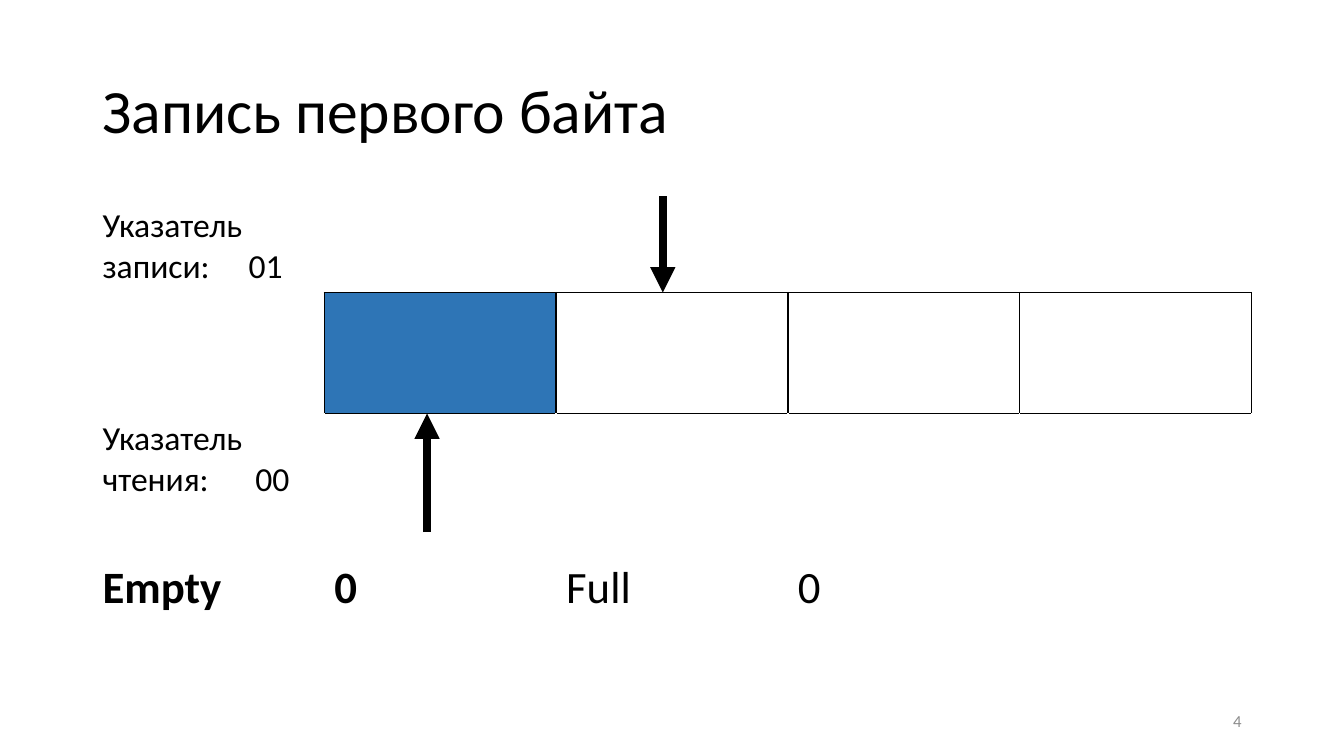
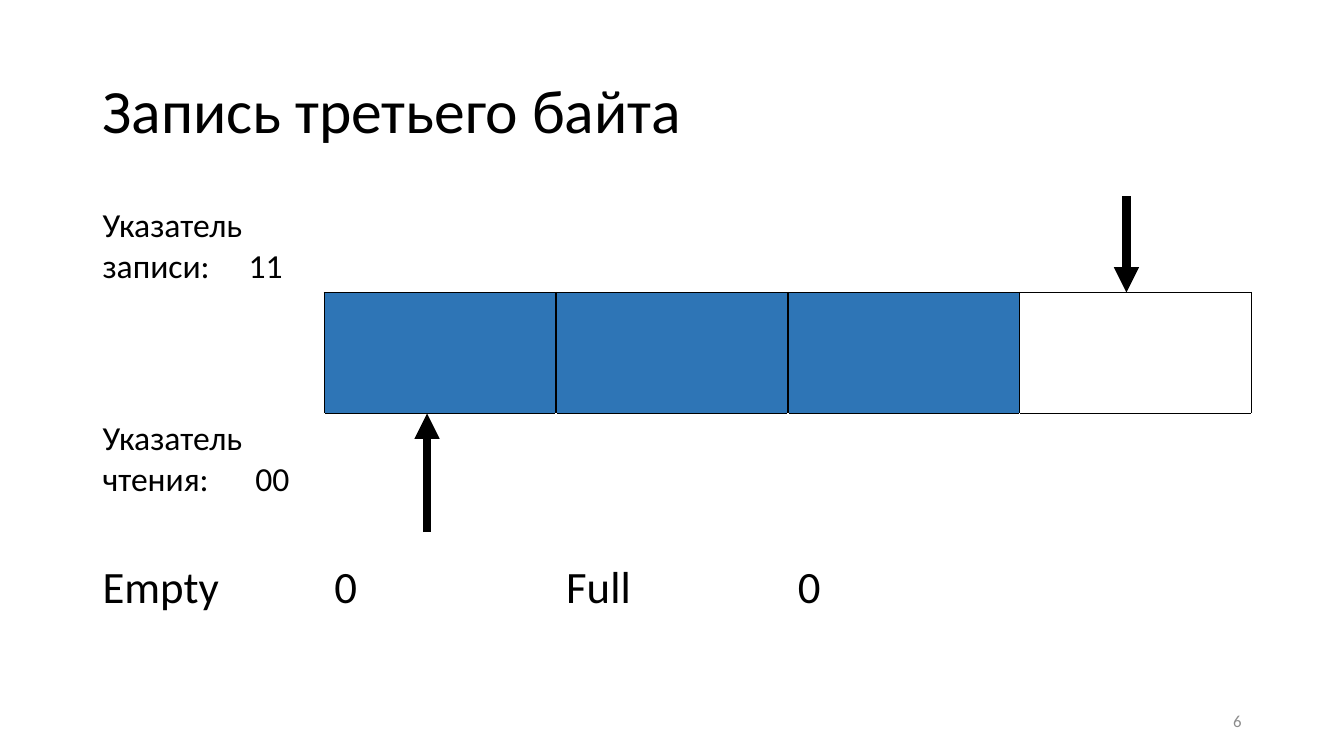
from lxml import etree
from pptx import Presentation
from pptx.dml.color import RGBColor
from pptx.enum.shapes import MSO_CONNECTOR
from pptx.enum.text import MSO_ANCHOR, MSO_AUTO_SIZE, PP_ALIGN
from pptx.oxml.ns import qn
from pptx.util import Cm, Pt

SLIDES = [
    {"title": "Запись первого байта", "number": "4", "filled": 1,
     "write": "01", "read": "00", "bold_empty": True},
    {"title": "Запись третьего байта", "number": "6", "filled": 3,
     "write": "11", "read": "00", "bold_empty": False},
]
FLAGS = ["Empty", "0", "Full", "0"]

FONT = "Calibri"
BLACK = RGBColor(0x00, 0x00, 0x00)
WHITE = RGBColor(0xFF, 0xFF, 0xFF)
BLUE = RGBColor(0x2E, 0x75, 0xB6)
GRAY = RGBColor(0x8C, 0x8C, 0x8C)

# All lengths below are centimetres.
LEFT, WIDTH = 2.33, 29.21
TABLE_TOP = 4.32
COLS = 5
COL_W = WIDTH / COLS
ROWS = [3.05, 3.05, 3.53, 3.05]
WRITE_ROW, BUFFER_ROW, READ_ROW, FLAG_ROW = range(4)
BUFFER_TOP = TABLE_TOP + ROWS[WRITE_ROW]
BUFFER_BOTTOM = BUFFER_TOP + ROWS[BUFFER_ROW]


def style(p, size, color=BLACK, bold=False):
    p.font.name, p.font.size, p.font.bold = FONT, Pt(size), bold
    p.font.color.rgb = color


def set_title(s, text):
    title = s.shapes.title
    title.left, title.top = Cm(LEFT), Cm(1.01)
    title.width, title.height = Cm(WIDTH), Cm(3.68)
    tf = title.text_frame
    tf.text = text
    tf.auto_size = MSO_AUTO_SIZE.NONE
    tf.vertical_anchor = MSO_ANCHOR.MIDDLE
    p = tf.paragraphs[0]
    p.alignment, p.line_spacing = PP_ALIGN.LEFT, 0.9
    style(p, 44)


def add_number(s, text):
    tf = s.shapes.add_textbox(Cm(23.92), Cm(17.66), Cm(7.62), Cm(1.01)).text_frame
    tf.word_wrap = True
    tf.vertical_anchor = MSO_ANCHOR.MIDDLE
    tf.text = text
    p = tf.paragraphs[0]
    p.alignment = PP_ALIGN.RIGHT
    style(p, 12, GRAY)


def in_buffer(row, col):
    return row == BUFFER_ROW and 1 <= col < COLS


def set_borders(cell, row, col):
    """Black on every edge that touches the buffer, white elsewhere."""
    neighbours = {"lnL": (row, col - 1), "lnR": (row, col + 1),
                  "lnT": (row - 1, col), "lnB": (row + 1, col)}
    tcPr = cell._tc.get_or_add_tcPr()
    for tag, other in neighbours.items():
        color = BLACK if in_buffer(row, col) or in_buffer(*other) else WHITE
        ln = etree.SubElement(tcPr, qn("a:" + tag), w=str(Pt(1)))
        fill = etree.SubElement(ln, qn("a:solidFill"))
        etree.SubElement(fill, qn("a:srgbClr"), val=str(color))


def set_pointer(cell, label, value, tab, anchor):
    """Write a wrapped label with its value at a tab stop on the last line."""
    cell.vertical_anchor = anchor
    p = cell.text_frame.paragraphs[0]
    p.text = f"{label}\t{value}"
    tabs = etree.SubElement(p._p.get_or_add_pPr(), qn("a:tabLst"))
    etree.SubElement(tabs, qn("a:tab"), pos=str(Cm(tab)), algn="l")
    style(p, 24)


def add_buffer_table(s, data):
    frame = s.shapes.add_table(len(ROWS), COLS, Cm(LEFT), Cm(TABLE_TOP),
                               Cm(WIDTH), Cm(sum(ROWS)))
    table = frame.table
    table.first_row = table.horz_banding = False
    for column in table.columns:
        column.width = Cm(COL_W)
    for r, height in enumerate(ROWS):
        table.rows[r].height = Cm(height)
        for c in range(COLS):
            cell = table.cell(r, c)
            set_borders(cell, r, c)
            if in_buffer(r, c) and c <= data["filled"]:
                cell.fill.solid()
                cell.fill.fore_color.rgb = BLUE
            else:
                cell.fill.background()

    set_pointer(table.cell(WRITE_ROW, 0), "Указатель записи:", data["write"],
                3.68, MSO_ANCHOR.BOTTOM)
    set_pointer(table.cell(READ_ROW, 0), "Указатель чтения:", data["read"],
                3.85, MSO_ANCHOR.TOP)
    for c, text in enumerate(FLAGS):
        cell = table.cell(FLAG_ROW, c)
        cell.margin_top = Cm(0.17)
        cell.text = text
        style(cell.text_frame.paragraphs[0], 32,
              bold=data["bold_empty"] and c < 2)


def add_arrow(s, pointer, offset, start, end):
    """Draw a vertical arrow at the buffer cell with this binary address."""
    x = Cm(LEFT + COL_W * (1 + int(pointer, 2)) + offset)
    line = s.shapes.add_connector(MSO_CONNECTOR.STRAIGHT, x, Cm(start), x, Cm(end))
    line.line.color.rgb = BLACK
    line.line.width = Pt(6)
    etree.SubElement(line.line._get_or_add_ln(), qn("a:tailEnd"), type="triangle")
    etree.SubElement(line._element.spPr, qn("a:effectLst"))


def main():
    prs = Presentation()
    prs.slide_width, prs.slide_height = Cm(33.87), Cm(19.05)
    for data in SLIDES:
        s = prs.slides.add_slide(prs.slide_layouts[5])
        set_title(s, data["title"])
        add_buffer_table(s, data)
        add_arrow(s, data["write"], 2.69, 4.95, BUFFER_TOP)
        add_arrow(s, data["read"], 2.59, 13.41, BUFFER_BOTTOM)
        add_number(s, data["number"])
    prs.save("out.pptx")


if __name__ == "__main__":
    main()
